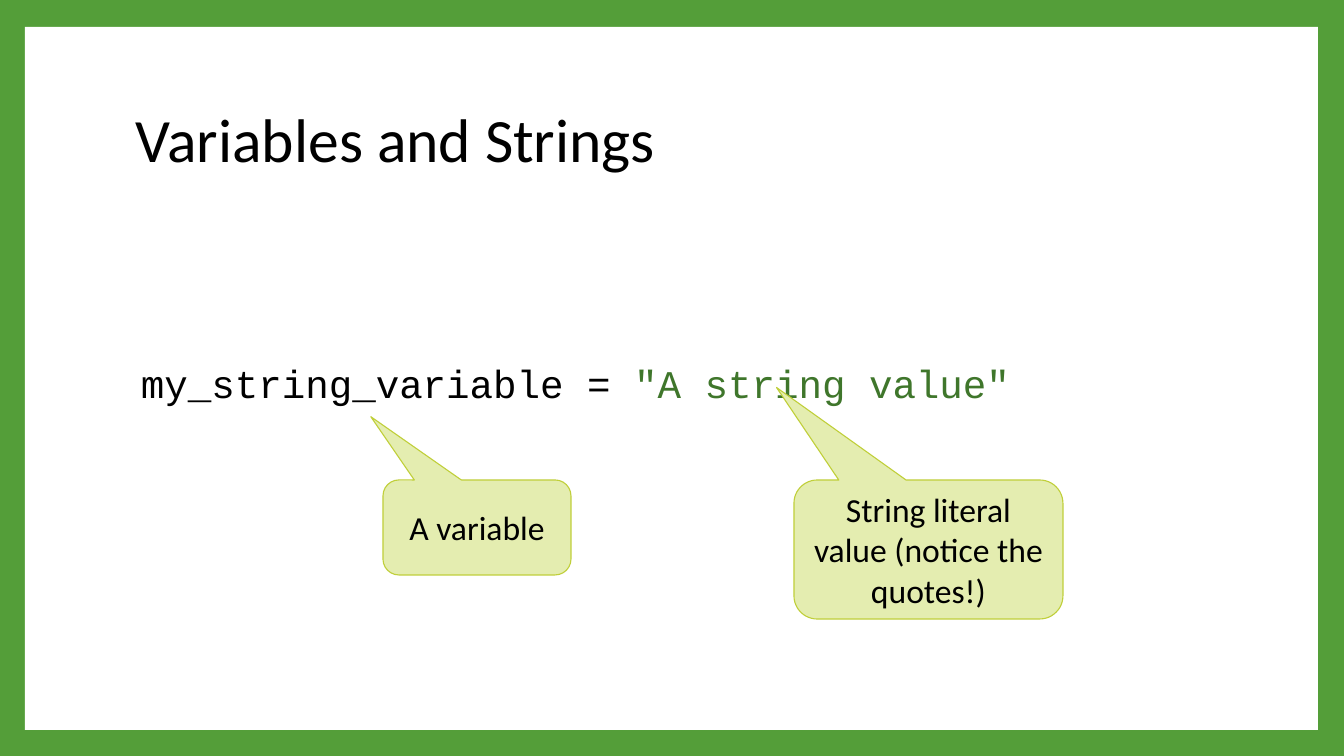
from pptx import Presentation
from pptx import util as u
from pptx.dml.color import RGBColor
from pptx.enum import shapes, text

# Content, lengths in px
WIDE, HIGH = 1344, 756
BLACK = RGBColor(0x00, 0x00, 0x00)
WHITE = RGBColor(0xFF, 0xFF, 0xFF)
GREEN = RGBColor(0x54, 0x9E, 0x39)
DARK = RGBColor(0x3F, 0x76, 0x2B)
PALE = RGBColor(0xE4, 0xED, 0xB0)
LIME = RGBColor(0xC0, 0xCF, 0x3A)

PANEL = (25, 27, 1293, 703)
TITLE = ("Variables and Strings", (126, 68, 1089, 149))
CODE = ([("my_string_variable = ", BLACK), ('"A string value"', DARK)],
        (126, 354, 901, 57))
TAIL = (-0.565, -1.166, 0.167)
NOTES = [
    ("A variable", (383, 480, 188, 95)),
    ("String literal value (notice the quotes!)", (794, 480, 269, 139)),
]


def px(n):
    return u.Emu(round(n * 914400 / 100.8))


def place(box):
    return [px(n) for n in box]


def style(par, size, face):
    par.font.size = u.Pt(size)
    par.font.name = face


def write(frame, words):
    frame.word_wrap = True
    frame.vertical_anchor = text.MSO_ANCHOR.MIDDLE
    par = frame.paragraphs[0]
    par.text = words
    par.font.color.rgb = BLACK
    return par


def draw(kind, box, color):
    shape = slide.shapes.add_shape(kind, *place(box))
    shape.shadow.inherit = False
    shape.fill.solid()
    shape.fill.fore_color.rgb = color
    return shape


deck = Presentation()
deck.slide_width, deck.slide_height = px(WIDE), px(HIGH)
slide = deck.slides.add_slide(deck.slide_layouts[6])

# Green frame around a white panel
slide.background.fill.solid()
slide.background.fill.fore_color.rgb = GREEN
draw(shapes.MSO_SHAPE.RECTANGLE, PANEL, WHITE).line.fill.background()

# Title
words, box = TITLE
par = write(slide.shapes.add_textbox(*place(box)).text_frame, words)
par.line_spacing = 0.9
style(par, 44, "Calibri")

# Line of code
parts, box = CODE
frame = slide.shapes.add_textbox(*place(box)).text_frame
frame.word_wrap = False
frame.auto_size = text.MSO_AUTO_SIZE.SHAPE_TO_FIT_TEXT
frame.margin_left = px(15)
par = frame.paragraphs[0]
for words, color in parts:
    run = par.add_run()
    run.text = words
    run.font.color.rgb = color
    run.font.size = u.Pt(28)
    run.font.name = "Courier New"

# Callouts
for words, box in NOTES:
    note = draw(shapes.MSO_SHAPE.ROUNDED_RECTANGULAR_CALLOUT, box, PALE)
    note.line.color.rgb = LIME
    note.line.width = u.Pt(0.79)
    for i, value in enumerate(TAIL):
        note.adjustments[i] = value
    par = write(note.text_frame, words)
    par.alignment = text.PP_ALIGN.CENTER
    style(par, 24, "Calibri")

deck.save("out.pptx")
